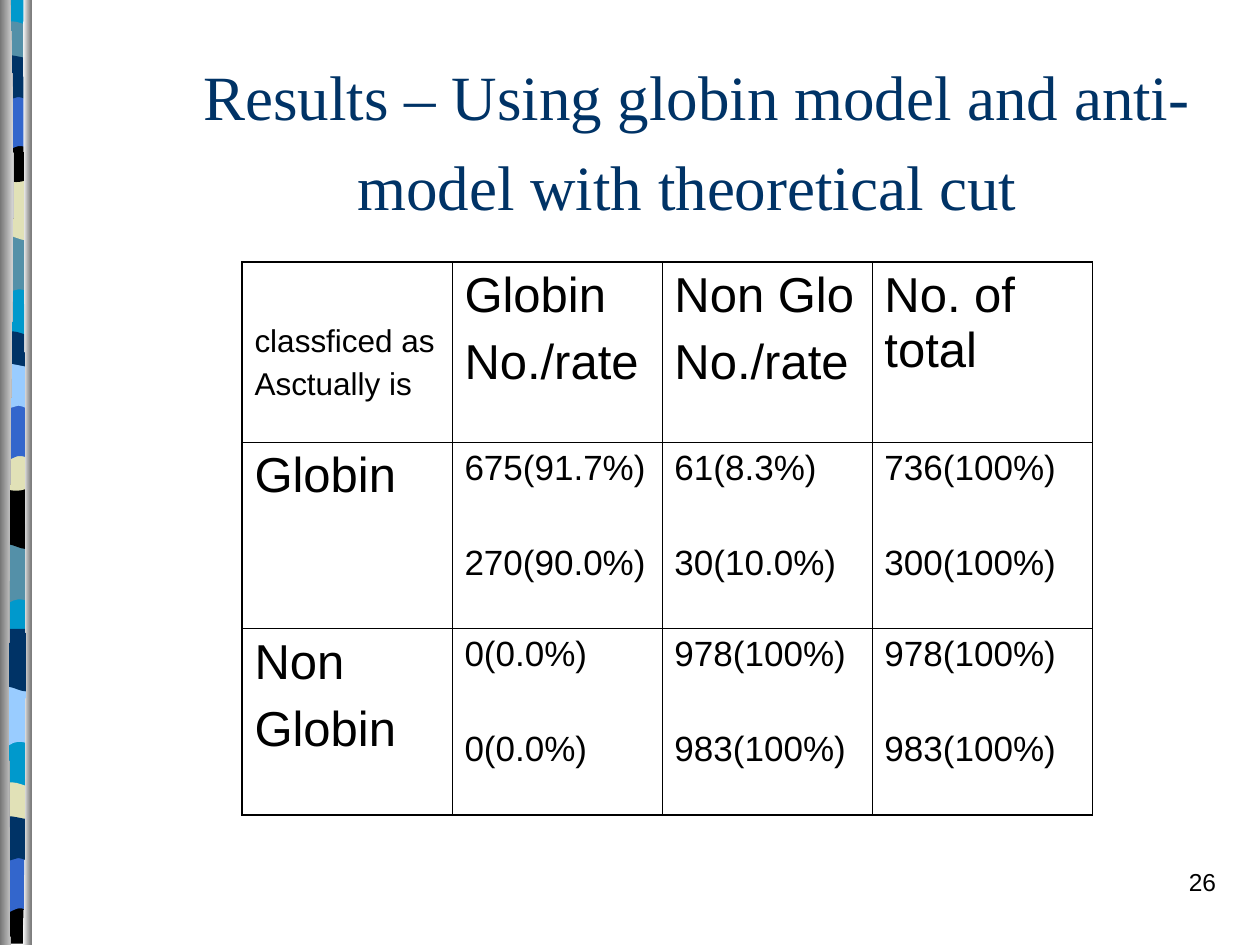
"""Build the globin model results slide with its banded side border."""
from dataclasses import dataclass

from lxml import etree
from pptx import Presentation
from pptx import util as u
from pptx.dml.color import RGBColor
from pptx.enum import text
from pptx.oxml.ns import qn


@dataclass(frozen=True)
class Theme:
    navy: str = "003366"
    slate: str = "5490A8"
    cream: str = "E1E1B7"
    blue: str = "3366CC"
    sky: str = "99CCFF"
    cyan: str = "0099CC"
    black: str = "000000"
    white: str = "FFFFFF"
    grey: str = "767676"
    serif: str = "Times New Roman"
    sans: str = "Arial"
    title: int = 36
    title_end: int = 44
    heading: int = 28
    data: int = 20
    label: int = 18
    number: int = 14
    outer: float = 1.08
    inner: float = 0.45


T = Theme()
LEFT, RIGHT = 0.01, 0.24

MOTIFS = {
    "wave": [(RIGHT, 0), (RIGHT, 0.47),
             (0.08, 0.39, 0.05, 0.55, LEFT, 0.47), (LEFT, 0)],
    "swell": [(RIGHT, 0), (RIGHT, 0.47),
              (0.21, 0.55, 0.08, 0.42, LEFT, 0.47), (LEFT, 0)],
    "lens": [(RIGHT, 0), (RIGHT, 0.24),
             (0.21, 0.28, 0.05, 0.28, LEFT, 0.24), (LEFT, 0),
             (0.03, -0.05, 0.06, -0.04, 0.1, -0.04),
             (0.14, -0.04, 0.21, -0.01, RIGHT, 0)],
    "bowl": [(RIGHT, 0), (RIGHT, 0.32),
             (0.21, 0.38, 0.05, 0.38, LEFT, 0.32), (LEFT, 0),
             (0.15, 0.05, 0.2, 0, RIGHT, 0)],
    "foot": [(RIGHT, 0), (RIGHT, 0.37), (LEFT, 0.37), (LEFT, 0),
             (0.15, 0.05, 0.19, 0, RIGHT, 0)],
    "arch": [(RIGHT, 0), (RIGHT, 0.47),
             (0.21, 0.42, 0.19, 0.42, 0.15, 0.42),
             (0.12, 0.42, 0.05, 0.47, LEFT, 0.47), (LEFT, 0)],
    "ripple": [(RIGHT, 0), (RIGHT, 0.31),
               (0.23, 0.36, 0.19, 0.31, 0.15, 0.31),
               (0.12, 0.31, 0.04, 0.36, LEFT, 0.31), (LEFT, 0),
               (0.04, -0.05, 0.17, 0, 0.21, 0),
               (0.25, 0, RIGHT, 0, RIGHT, 0)],
    "base": [(RIGHT, 0), (RIGHT, 7.48), (LEFT, 7.48), (LEFT, 0)],
    "left_rail": [(0.08, 0), (0.15, 2.17, 0.04, 2.97, 0.08, 7.5),
                  (0, 7.5), (0, 0)],
    "right_rail": [(0.19, 0), (0.18, 1.26, 0.24, 6.47, 0.18, 7.5),
                   (0.25, 7.5), (0.25, 0)],
}

BANDS = [
    ("base", -0.01, T.cyan),
    ("wave", 1.85, T.slate), ("swell", 1.41, T.cream), ("lens", 0.21, T.slate),
    ("bowl", 1.08, T.black), ("arch", 0.74, T.blue), ("ripple", 0.46, T.navy),
    ("wave", 4.31, T.slate), ("swell", 3.86, T.black), ("lens", 2.67, T.navy),
    ("bowl", 3.53, T.cream), ("arch", 3.2, T.blue), ("ripple", 2.91, T.sky),
    ("wave", 5.44, T.sky), ("swell", 4.99, T.navy), ("lens", 6.25, T.cream),
    ("foot", 7.12, T.black), ("arch", 6.79, T.blue), ("ripple", 6.5, T.navy),
]

RESULTS = [
    [["classficed as", "Asctually is"], ["Globin", "No./rate"],
     ["Non Glo", "No./rate"], ["No. of total"]],
    [["Globin"], ["675(91.7%)", "270(90.0%)"],
     ["61(8.3%)", "30(10.0%)"], ["736(100%)", "300(100%)"]],
    [["Non", "Globin"], ["0(0.0%)", "0(0.0%)"],
     ["978(100%)", "983(100%)"], ["978(100%)", "983(100%)"]],
]


def rgb(color):
    """Return a colour object for a hex string."""
    return RGBColor.from_string(color)


def add_run(p, words, size, font, color):
    """Append one formatted run."""
    r = p.add_run()
    r.text = words
    r.font.size, r.font.name = u.Pt(size), font
    r.font.color.rgb = rgb(color)


def curve_lines(sp, steps):
    """Merge the three lines that stand for each curve into a cubic segment."""
    lines = iter(list(sp.element.iter(qn("a:lnTo"))))
    for step in steps[1:]:
        first = next(lines)
        if len(step) == 6:
            curve = etree.Element(qn("a:cubicBezTo"))
            first.addprevious(curve)
            for line in (first, next(lines), next(lines)):
                curve.append(line[0])
                line.getparent().remove(line)


def add_outline(group, motif, top):
    """Draw a border motif starting at the given height."""
    steps = MOTIFS[motif]
    points = [(u.Inches(step[i]), u.Inches(top + step[i + 1]))
              for step in steps for i in range(0, len(step), 2)]
    builder = group.shapes.build_freeform(*points[0])
    builder.add_line_segments(points[1:], close=True)
    sp = builder.convert_to_shape()
    curve_lines(sp, steps)
    sp.shadow.inherit = False
    sp.line.fill.background()
    return sp


def add_band(group, motif, top, color):
    """Draw one plain band of the border."""
    fill = add_outline(group, motif, top).fill
    fill.solid()
    fill.fore_color.rgb = rgb(color)


def add_rail(group, motif, colors):
    """Draw one rail with a left to right gradient."""
    fill = add_outline(group, motif, 0).fill
    fill.gradient()
    fill.gradient_angle = 0
    for stop, color in zip(fill.gradient_stops, colors):
        stop.color.rgb = rgb(color)


def add_border(slide, master):
    """Draw the side border as a group and hand it to the master."""
    group = slide.shapes.add_group_shape()
    for band in BANDS:
        add_band(group, *band)
    add_rail(group, "left_rail", (T.grey, T.white))
    add_rail(group, "right_rail", (T.white, T.grey))
    master.shapes.element.insert(2, group.element)


def set_title(slide):
    """Place and fill the title."""
    sp = slide.shapes.title
    sp.left, sp.top, sp.width, sp.height = map(u.Inches, (1.28, 0.5, 8.5, 1.25))
    tf = sp.text_frame
    tf.word_wrap, tf.auto_size = True, text.MSO_AUTO_SIZE.NONE
    tf.vertical_anchor = text.MSO_ANCHOR.MIDDLE
    p = tf.paragraphs[0]
    p.alignment = text.PP_ALIGN.CENTER
    add_run(p, "Results – Using globin model and anti-model with theoretical cut",
            T.title, T.serif, T.navy)
    add_run(p, " ", T.title_end, T.serif, T.navy)


def set_borders(cell, widths):
    """Give a cell its left, right, top and bottom lines."""
    props = cell._tc.get_or_add_tcPr()
    for i, (side, width) in enumerate(zip("LRTB", widths)):
        ln = etree.Element(qn(f"a:ln{side}"), w=str(u.Pt(width)))
        fill = etree.SubElement(ln, qn("a:solidFill"))
        etree.SubElement(fill, qn("a:srgbClr"), val=T.black)
        props.insert(i, ln)


def fill_cell(cell, lines, size, gap):
    """Write the lines of a cell as spaced paragraphs."""
    cell.fill.background()
    tf = cell.text_frame
    for i, line in enumerate(lines):
        p = tf.add_paragraph() if i else tf.paragraphs[0]
        if i:
            p.space_before = u.Pt(gap)
        add_run(p, line, size, T.sans, T.black)


def add_results(slide):
    """Add the classification table."""
    frame = slide.shapes.add_table(3, 4, *map(u.Inches, (1.92, 2.08, 6.75, 4.39)))
    table = frame.table
    table.first_row = table.horz_banding = False
    for column, width in zip(table.columns, (5 / 3, 5 / 3, 5 / 3, 1.75)):
        column.width = u.Inches(width)
    for row, height in zip(table.rows, (1.43, 1.48, 1.48)):
        row.height = u.Inches(height)
    for i, row in enumerate(RESULTS):
        for j, lines in enumerate(row):
            cell = table.cell(i, j)
            if i and j:
                size, gap = T.data, 32
            else:
                size = T.heading if i or j else T.label
                gap = size / 4
            fill_cell(cell, lines, size, gap)
            edges = (j == 0, j == 3, i == 0, i == 2)
            set_borders(cell, [T.outer if edge else T.inner for edge in edges])
    table.cell(0, 0).margin_top = u.Inches(0.49)


def add_number(slide):
    """Add the slide number."""
    tf = slide.shapes.add_textbox(*map(u.Inches, (7.67, 6.83, 2.08, 0.5))).text_frame
    tf.word_wrap = True
    p = tf.paragraphs[0]
    p.alignment = text.PP_ALIGN.RIGHT
    add_run(p, "26", T.number, T.sans, T.black)


def main():
    """Build and save the slide."""
    prs = Presentation()
    prs.slide_width, prs.slide_height = u.Inches(10), u.Inches(7.5)
    slide = prs.slides.add_slide(prs.slide_layouts[5])
    add_border(slide, prs.slide_master)
    set_title(slide)
    add_results(slide)
    add_number(slide)
    prs.save("out.pptx")


if __name__ == "__main__":
    main()
